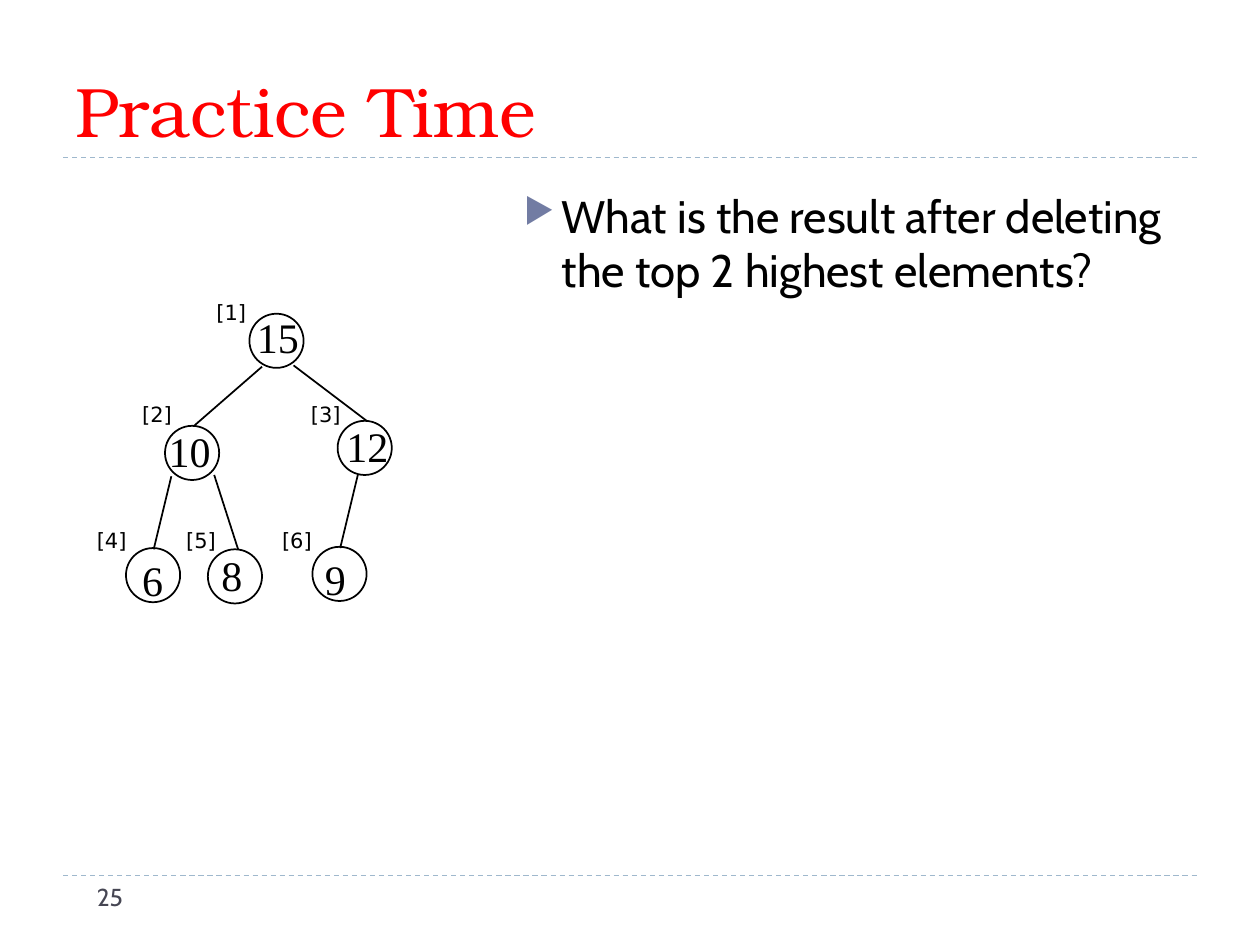
from lxml import etree
from pptx import Presentation, util as u
from pptx.dml.color import RGBColor
from pptx.enum import dml, shapes, text
from pptx.oxml.ns import qn

COLORS = {"title": "FF0000", "ink": "000000", "rule": "9FB8CD",
          "bullet": "727CA3", "page": "464653"}
FONTS = {"title": "TeX Gyre Bonum", "body": "Cabin",
         "number": "Times New Roman", "label": "DejaVu Sans"}
COLS, ROWS = 100, 75

NODES = [
    (15, (19.8, 24.9), (19.4, 24.2), (16.2, 23.3)),
    (10, (13.1, 33.8), (12.4, 33.3), (10.3, 31.4)),
    (12, (26.8, 33.4), (26.5, 32.9), (23.7, 31.4)),
    (6, (10, 43.5), (10.3, 43.5), (6.7, 41.4)),
    (8, (16.5, 43.6), (16.6, 43.1), (13.8, 41.4)),
    (9, (24.8, 43.4), (24.8, 43.4), (21.4, 41.4)),
]
EDGES = [
    ((20.8, 29.1), (15.4, 33.8)),
    ((23.3, 29), (29.1, 33.4)),
    ((13.6, 37.8), (12.2, 43.6)),
    ((17, 37.7), (18.9, 43.6)),
    ((28.4, 37.7), (27, 43.5)),
]


class SlideBuilder:
    """Places styled elements on a slide, measured in grid columns and rows."""

    def __init__(self, prs):
        self.col = prs.slide_width / COLS
        self.row = prs.slide_height / ROWS
        self.slide = prs.slides.add_slide(prs.slide_layouts[5])

    def grid(self, x, y):
        return u.Emu(round(x * self.col)), u.Emu(round(y * self.row))

    def box(self, x, y, w, h):
        return *self.grid(x, y), *self.grid(w, h)

    def color(self, name):
        return RGBColor.from_string(COLORS[name])

    def set_text(self, sp, content, size, font, color, wrap=True):
        tf = sp.text_frame
        tf.text = content
        tf.word_wrap = wrap
        p = tf.paragraphs[0]
        p.alignment = text.PP_ALIGN.LEFT
        r = p.runs[0]
        r.font.size = u.Pt(size)
        r.font.name = FONTS[font]
        r.font.color.rgb = self.color(color)
        return p

    def title(self, content, *area):
        sp = self.slide.shapes.title
        sp.left, sp.top, sp.width, sp.height = self.box(*area)
        self.set_text(sp, content, 40, "title", "title")
        sp.text_frame.auto_size = text.MSO_AUTO_SIZE.NONE
        sp.text_frame.vertical_anchor = text.MSO_ANCHOR.BOTTOM

    def text(self, content, area, size, font, color="ink", wrap=True):
        sp = self.slide.shapes.add_textbox(*self.box(*area))
        return self.set_text(sp, content, size, font, color, wrap)

    def bullet(self, content, *area):
        p = self.text(content, area, 26, "body")
        p.space_before = u.Pt(6)
        pPr = p._p.get_or_add_pPr()
        pPr.set("marL", str(u.Inches(0.3)))
        pPr.set("indent", str(-u.Inches(0.3)))
        clr = etree.SubElement(pPr, qn("a:buClr"))
        etree.SubElement(clr, qn("a:srgbClr"), val=COLORS["bullet"])
        etree.SubElement(pPr, qn("a:buSzPct"), val="76000")
        etree.SubElement(pPr, qn("a:buChar"), char="▶")

    def line(self, start, end, color="ink", width=1, dash=None):
        cn = self.slide.shapes.add_connector(
            shapes.MSO_CONNECTOR.STRAIGHT, *self.grid(*start), *self.grid(*end))
        cn.line.color.rgb = self.color(color)
        cn.line.width = u.Pt(width)
        if dash:
            cn.line.dash_style = dash
        etree.SubElement(cn._element.spPr, qn("a:effectLst"))

    def rule(self, y):
        self.line((5, y), (95, y), "rule", 0.75, dml.MSO_LINE.DASH)

    def node(self, index, value, circle, number, label):
        sp = self.slide.shapes.add_shape(
            shapes.MSO_SHAPE.OVAL, *self.box(*circle, 4.3, 4.3))
        sp.shadow.inherit = False
        sp.fill.background()
        sp.line.color.rgb = self.color("ink")
        sp.line.width = u.Pt(1)
        width = 2 + 1.7 * len(str(value))
        self.text(str(value), (*number, width, 5.1), 24, "number", wrap=False)
        self.text(f"[{index}]", (*label, 5, 3), 12, "label")


def main():
    prs = Presentation()
    prs.slide_width, prs.slide_height = u.Inches(10), u.Inches(7.5)
    s = SlideBuilder(prs)
    for y in (12.5, 69.5):
        s.rule(y)
    s.title("Practice Time", 5, 2.5, 90, 10)
    s.bullet("What is the result after deleting the top 2 highest elements?",
             40.6, 14.4, 54.4, 54)
    for start, end in EDGES:
        s.line(start, end)
    for index, node in enumerate(NODES, 1):
        s.node(index, *node)
    s.text("25", (6.7, 69.5, 21.7, 4), 14, "body", "page")
    prs.save("out.pptx")


if __name__ == "__main__":
    main()
